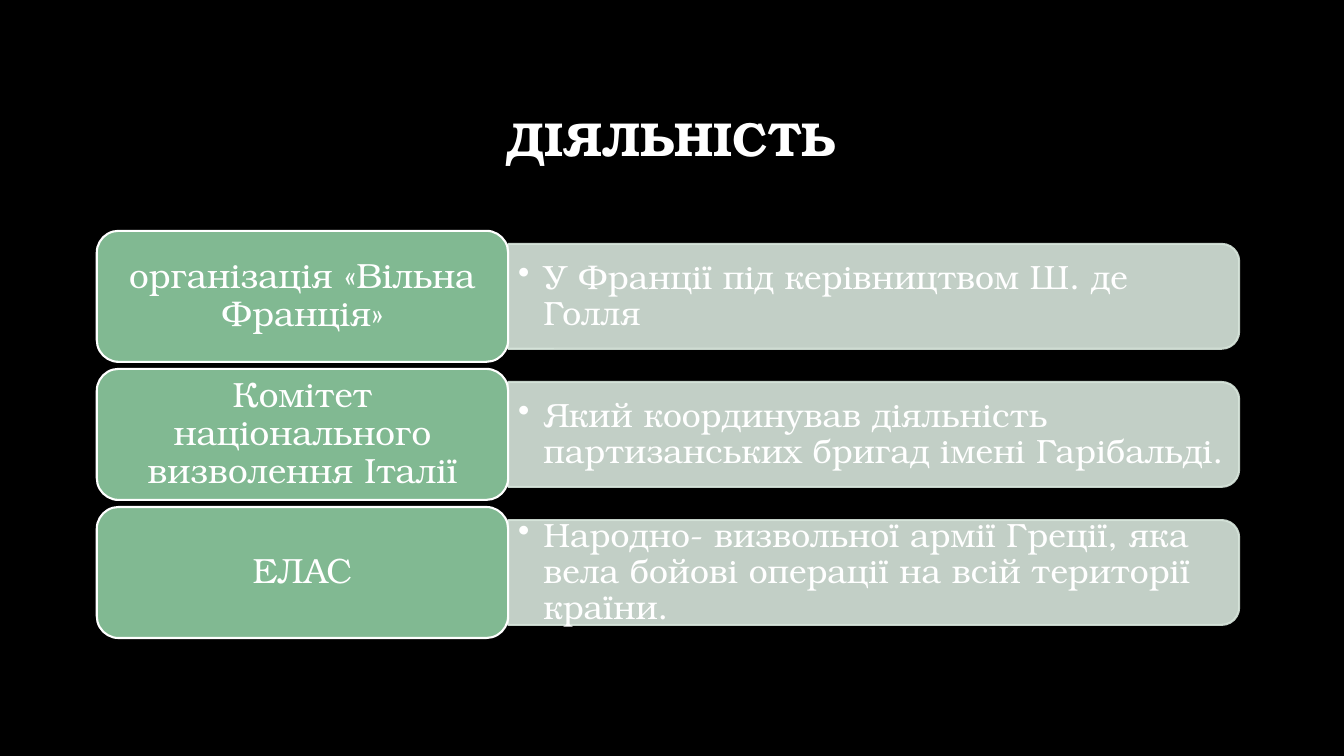
from lxml.etree import SubElement as Sub
from pptx import Presentation
from pptx.dml.color import RGBColor as Rgb
from pptx.enum.shapes import MSO_SHAPE as Shape
from pptx.enum.text import MSO_ANCHOR as Anchor, PP_ALIGN as Align
from pptx.oxml.ns import qn
from pptx.util import Inches as In, Pt

# Content
TITLE = "ДІЯЛЬНІСТЬ"
ROWS = [
    ("організація «Вільна Франція»",
     "У Франції під керівництвом Ш. де Голля"),
    ("Комітет національного визволення Італії",
     "Який координував діяльність партизанських бригад імені Гарібальді."),
    ("ЕЛАС",
     "Народно- визвольної армії Греції, яка вела бойові операції "
     "на всій території країни."),
]

# Theme
THEME = {
    "font": "TeX Gyre Bonum",
    "back": Rgb.from_string("000000"),
    "text": Rgb.from_string("FFFFFF"),
    "label": Rgb.from_string("81B992"),
    "bar": Rgb.from_string("D8E6DC"),
    "title": Pt(34), "name": Pt(25), "note": Pt(24), "line": Pt(1.5),
}

# Grid, in inches
LEFT, TOP, STEP = 0.96, 2.29, 1.37
LABEL_W, LABEL_H = 4.08, 1.3
BAR_X, BAR_W, BAR_H = LEFT + LABEL_W, 7.25, 1.04
NOTE_W, NOTE_H = 7.2, 0.94
PAD, INDENT = 0.17, 0.25


def write(shape, text, size, align=Align.CENTER, bold=False, bullet=False,
          pad=0.1):
    frame = shape.text_frame
    form = {"word_wrap": True, "vertical_anchor": Anchor.MIDDLE,
            "margin_left": In(pad), "margin_right": In(pad)}
    for key, val in form.items():
        setattr(frame, key, val)
    para = frame.paragraphs[0]
    para.text, para.alignment, para.line_spacing = text, align, 0.9
    if bullet:
        props = para._p.get_or_add_pPr()
        props.set("marL", str(In(INDENT)))
        props.set("indent", str(-In(INDENT)))
        Sub(props, qn("a:buChar"), char="•")
    font = para.runs[0].font
    for key, val in {"name": THEME["font"], "size": size, "bold": bold}.items():
        setattr(font, key, val)
    font.color.rgb = THEME["text"]


def block(kind, box, fill, line, alpha=None):
    shape = slide.shapes.add_shape(kind, *map(In, box))
    shape.shadow.inherit = False
    shape.fill.solid()
    shape.fill.fore_color.rgb = fill
    shape.line.color.rgb = line
    shape.line.width = THEME["line"]
    if alpha:
        for tint in shape._element.spPr.iter(qn("a:srgbClr")):
            Sub(tint, qn("a:alpha"), val=str(alpha * 1000))
    return shape


deck = Presentation()
deck.slide_width, deck.slide_height = In(13.33), In(7.5)
slide = deck.slides.add_slide(deck.slide_layouts[6])
slide.background.fill.solid()
slide.background.fill.fore_color.rgb = THEME["back"]

# Title
head = slide.shapes.add_textbox(In(1), In(0.67), In(11.32), In(1.45))
write(head, TITLE, THEME["title"], bold=True)

# Rows: a bar turned on its side, its note, then the label on top
for row, (name, note) in enumerate(ROWS):
    top = TOP + row * STEP
    mid = top + LABEL_H / 2
    bar = block(Shape.ROUND_2_SAME_RECTANGLE,
                (BAR_X + (BAR_W - BAR_H) / 2, mid - BAR_W / 2, BAR_H, BAR_W),
                THEME["bar"], THEME["bar"], alpha=90)
    bar.rotation = 90
    box = slide.shapes.add_textbox(
        *map(In, (BAR_X, mid - NOTE_H / 2, NOTE_W, NOTE_H)))
    write(box, note, THEME["note"], align=Align.LEFT, bullet=True)
    label = block(Shape.ROUNDED_RECTANGLE, (LEFT, top, LABEL_W, LABEL_H),
                  THEME["label"], THEME["text"])
    write(label, name, THEME["name"], pad=PAD)

deck.save("out.pptx")
